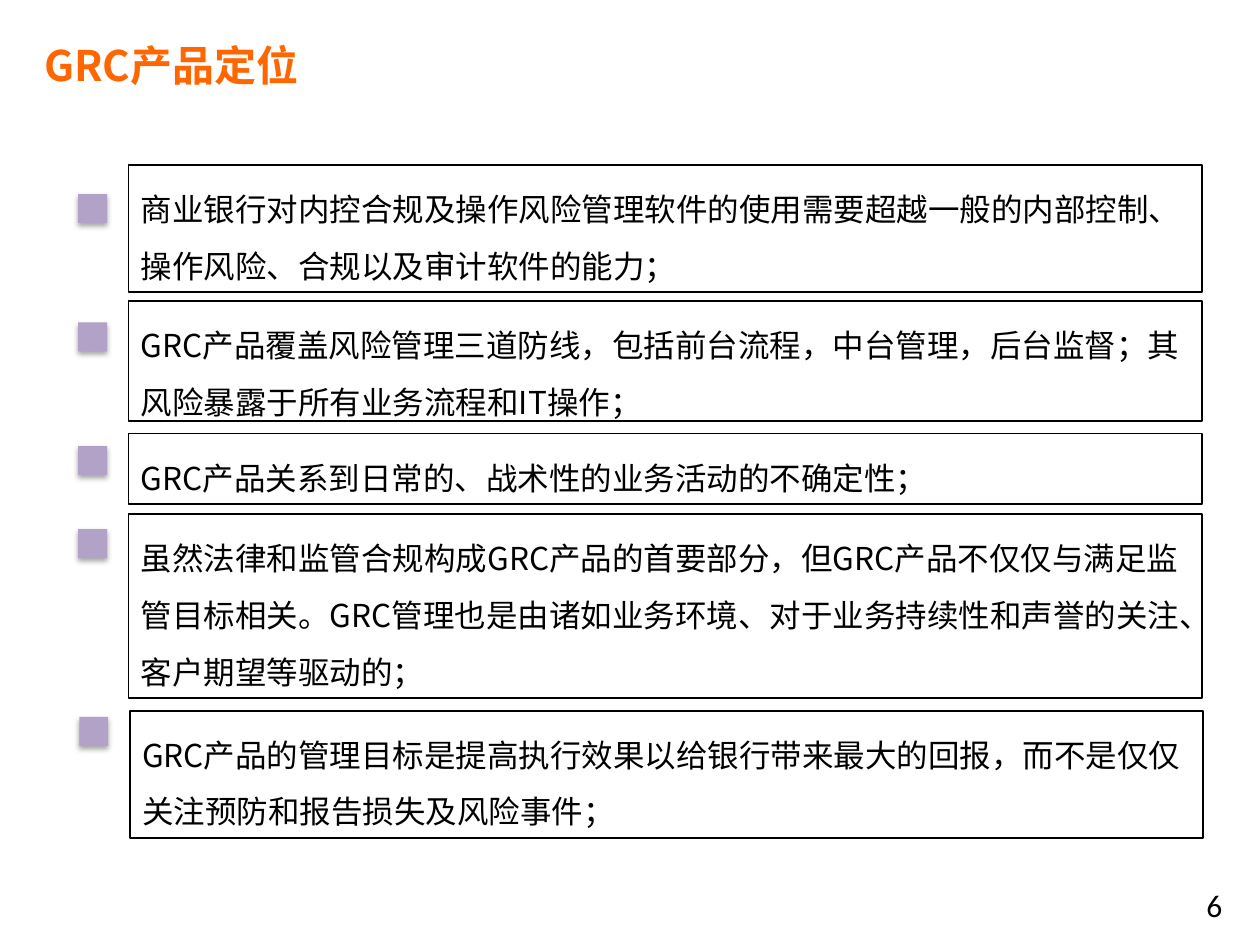
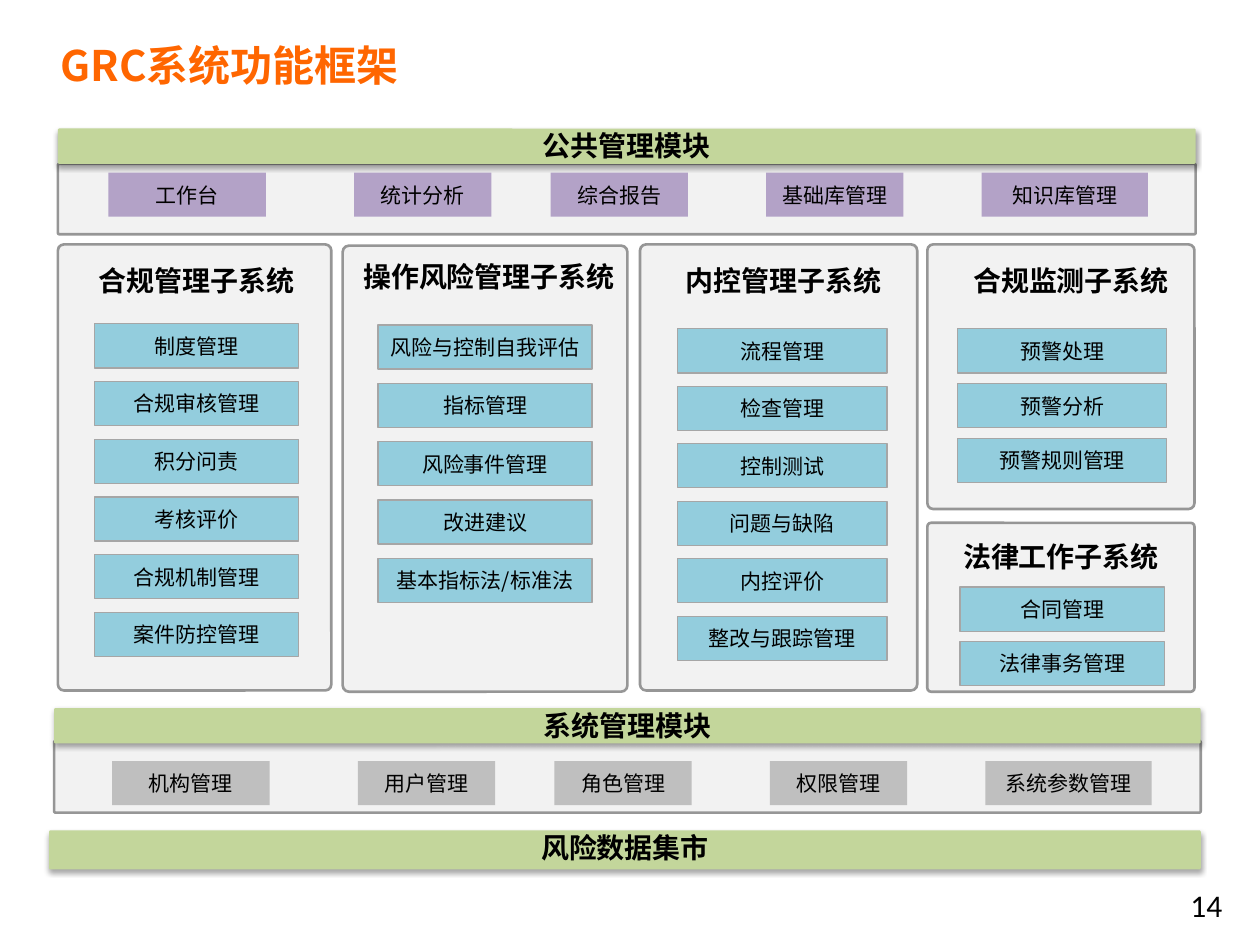
from dataclasses import dataclass

from lxml.etree import SubElement
from pptx import Presentation
from pptx.dml.color import RGBColor
from pptx.enum.shapes import MSO_SHAPE
from pptx.enum.text import MSO_ANCHOR, MSO_AUTO_SIZE, PP_ALIGN
from pptx.oxml.ns import qn
from pptx.util import Inches, Pt

COLORS = {
    "title": "FF6600",
    "text": "000000",
    "purple": "B3A2C7",
    "green": "C3D69B",
    "blue": "93CDDD",
    "gray": "BFBFBF",
    "panel": "F2F2F2",
    "panel_line": "969696",
    "item_line": "A6A6A6",
}
CJK_FONT = "Noto Sans CJK SC"
NUMBER_FONT = "Calibri"
ITEM_HEIGHT = 0.35
BAND_HEIGHT = 0.28
# Left offset from the first module and width of each module in a row
MODULE_COLUMNS = [(0, 1.25), (1.95, 1.09), (3.51, 1.09), (5.22, 1.09), (6.93, 1.32)]

POSITIONING_POINTS = [
    # left, top, height, marker drop below the box top, text
    (1.02, 1.31, 1.01, 0.23,
     "商业银行对内控合规及操作风险管理软件的使用需要超越一般的内部控制、操作风险、合规以及审计软件的能力；"),
    (1.02, 2.39, 0.95, 0.17,
     "GRC产品覆盖风险管理三道防线，包括前台流程，中台管理，后台监督；其风险暴露于所有业务流程和IT操作；"),
    (1.02, 3.44, 0.56, 0.10,
     "GRC产品关系到日常的、战术性的业务活动的不确定性；"),
    (1.02, 4.08, 1.46, 0.12,
     "虽然法律和监管合规构成GRC产品的首要部分，但GRC产品不仅仅与满足监管目标相关。"
     "GRC管理也是由诸如业务环境、对于业务持续性和声誉的关注、客户期望等驱动的；"),
    (1.03, 5.64, 1.01, 0.05,
     "GRC产品的管理目标是提高执行效果以给银行带来最大的回报，而不是仅仅关注预防和报告损失及风险事件；"),
]


@dataclass
class Box:
    left: float
    top: float
    width: float
    height: float

    def inside(self, left, top, width, height):
        """Return a box whose offsets count from this box's corner."""
        return Box(self.left + left, self.top + top, width, height)

    def lengths(self):
        return [Inches(v) for v in (self.left, self.top, self.width, self.height)]


SUBSYSTEMS = [
    # panel, heading box, first item box, last item top, heading, items
    (Box(0.46, 1.94, 2.17, 3.54), (0.21, 0.10, 1.78), (0.29, 0.63, 1.62), 2.92,
     "合规管理子系统",
     ["制度管理", "合规审核管理", "积分问责", "考核评价", "合规机制管理", "案件防控管理"]),
    (Box(2.72, 1.95, 2.26, 3.54), (0, 0.06, 2.32), (0.28, 0.63, 1.70), 2.48,
     "操作风险管理子系统",
     ["风险与控制自我评估", "指标管理", "风险事件管理", "改进建议", "基本指标法/标准法"]),
    (Box(5.08, 1.94, 2.20, 3.54), (0.16, 0.10, 1.96), (0.30, 0.67, 1.66), 2.95,
     "内控管理子系统",
     ["流程管理", "检查管理", "控制测试", "问题与缺陷", "内控评价", "整改与跟踪管理"]),
    (Box(7.36, 1.94, 2.12, 2.10), (0.16, 0.10, 1.96), (0.24, 0.67, 1.66), 1.54,
     "合规监测子系统", ["预警处理", "预警分析", "预警规则管理"]),
    (Box(7.36, 4.15, 2.12, 1.34), (0.08, 0.08, 1.96), (0.26, 0.51, 1.62), 0.94,
     "法律工作子系统", ["合同管理", "法律事务管理"]),
]


def rgb(name):
    return RGBColor.from_string(COLORS[name])


def write_text(shape, text, size, color="text", bold=False, font=CJK_FONT,
               align=PP_ALIGN.LEFT, anchor=MSO_ANCHOR.TOP, inset=None, line_spacing=None):
    frame = shape.text_frame
    frame.word_wrap = True
    frame.auto_size = MSO_AUTO_SIZE.NONE
    frame.vertical_anchor = anchor
    if inset is not None:
        frame.margin_left = frame.margin_top = Inches(inset)
        frame.margin_right = frame.margin_bottom = Inches(inset)
    paragraph = frame.paragraphs[0]
    paragraph.alignment = align
    if line_spacing:
        paragraph.line_spacing = line_spacing
    run = paragraph.add_run()
    run.text = text
    run.font.size = Pt(size)
    run.font.bold = bold
    run.font.color.rgb = rgb(color)
    run.font.name = font
    SubElement(run.font._element, qn("a:ea"), typeface=font)


def add_box(slide, box, fill=None, line=None, line_width=1, corner=None, shadow=False):
    kind = MSO_SHAPE.RECTANGLE if corner is None else MSO_SHAPE.ROUNDED_RECTANGLE
    shape = slide.shapes.add_shape(kind, *box.lengths())
    if corner is not None:
        shape.adjustments[0] = corner
    if fill:
        shape.fill.solid()
        shape.fill.fore_color.rgb = rgb(fill)
    else:
        shape.fill.background()
    if line:
        shape.line.color.rgb = rgb(line)
        shape.line.width = Pt(line_width)
    else:
        shape.line.fill.background()
    shape.shadow.inherit = False
    if shadow:
        add_shadow(shape)
    return shape


def add_shadow(shape):
    effects = shape._element.spPr.find(qn("a:effectLst"))
    outer = SubElement(effects, qn("a:outerShdw"), blurRad=str(Pt(3.1)),
                       dist=str(Pt(1.8)), dir="5400000", rotWithShape="0")
    color = SubElement(outer, qn("a:srgbClr"), val=COLORS["text"])
    SubElement(color, qn("a:alpha"), val="35000")


def add_titled_slide(presentation, title, title_left, number):
    slide = presentation.slides.add_slide(presentation.slide_layouts[5])
    placeholder = slide.shapes.title
    (placeholder.left, placeholder.top, placeholder.width,
     placeholder.height) = Box(title_left, 0.24, 5.04, 0.54).lengths()
    write_text(placeholder, title, 24, "title", bold=True, anchor=MSO_ANCHOR.MIDDLE)
    number_box = slide.shapes.add_textbox(*Box(7.47, 6.98, 2.33, 0.52).lengths())
    write_text(number_box, number, 18, font=NUMBER_FONT, align=PP_ALIGN.RIGHT)
    return slide


def add_point(slide, box, marker_drop, text):
    statement = add_box(slide, box, line="text")
    write_text(statement, text, 18, line_spacing=1.5)
    add_box(slide, box.inside(-0.4, marker_drop, 0.23, 0.23), "purple", shadow=True)


def add_panel(slide, box):
    add_box(slide, box, "panel", "panel_line", 1.5, corner=0.022)


def add_band(slide, box, text):
    band = add_box(slide, box, "green", corner=0.039, shadow=True)
    write_text(band, text, 16, bold=True, align=PP_ALIGN.CENTER, inset=0)


def add_item(slide, box, text, fill, line=None):
    item = add_box(slide, box, fill, line, 0.75)
    write_text(item, text, 12, align=PP_ALIGN.CENTER, anchor=MSO_ANCHOR.MIDDLE, inset=0)


def add_module_group(slide, box, panel_top, first_item, heading, items, fill):
    """Draw a band over a panel with one row of modules."""
    add_panel(slide, box.inside(0, panel_top, box.width, box.height - panel_top))
    add_band(slide, box.inside(0, 0, box.width, BAND_HEIGHT), heading)
    left, top = first_item
    for (offset, width), text in zip(MODULE_COLUMNS, items):
        add_item(slide, box.inside(left + offset, top, width, ITEM_HEIGHT), text, fill)


def add_subsystem(slide, box, heading_box, first_item, last_top, heading, items):
    """Draw a panel with a heading and evenly spaced items."""
    add_panel(slide, box)
    heading_shape = slide.shapes.add_textbox(*box.inside(*heading_box, 0.37).lengths())
    write_text(heading_shape, heading, 16, bold=True, align=PP_ALIGN.CENTER)
    left, top, width = first_item
    pitch = (last_top - top) / (len(items) - 1)
    for index, text in enumerate(items):
        item_box = box.inside(left, top + index * pitch, width, ITEM_HEIGHT)
        add_item(slide, item_box, text, "blue", "item_line")


def build_positioning_slide(presentation):
    slide = add_titled_slide(presentation, "GRC产品定位", 0.25, "6")
    for left, top, height, marker_drop, text in POSITIONING_POINTS:
        add_point(slide, Box(left, top, 8.52, height), marker_drop, text)


def build_framework_slide(presentation):
    slide = add_titled_slide(presentation, "GRC系统功能框架", 0.38, "14")
    add_module_group(slide, Box(0.46, 1.02, 9.03, 0.84), 0.28, (0.40, 0.35), "公共管理模块",
                     ["工作台", "统计分析", "综合报告", "基础库管理", "知识库管理"], "purple")
    for subsystem in SUBSYSTEMS:
        add_subsystem(slide, *subsystem)
    add_module_group(slide, Box(0.43, 5.62, 9.10, 0.83), 0.26, (0.46, 0.42), "系统管理模块",
                     ["机构管理", "用户管理", "角色管理", "权限管理", "系统参数管理"], "gray")
    add_band(slide, Box(0.39, 6.59, 9.14, 0.31), "风险数据集市")


def main():
    presentation = Presentation()
    presentation.slide_width = Inches(10)
    presentation.slide_height = Inches(7.5)
    build_positioning_slide(presentation)
    build_framework_slide(presentation)
    presentation.save("out.pptx")


if __name__ == "__main__":
    main()
